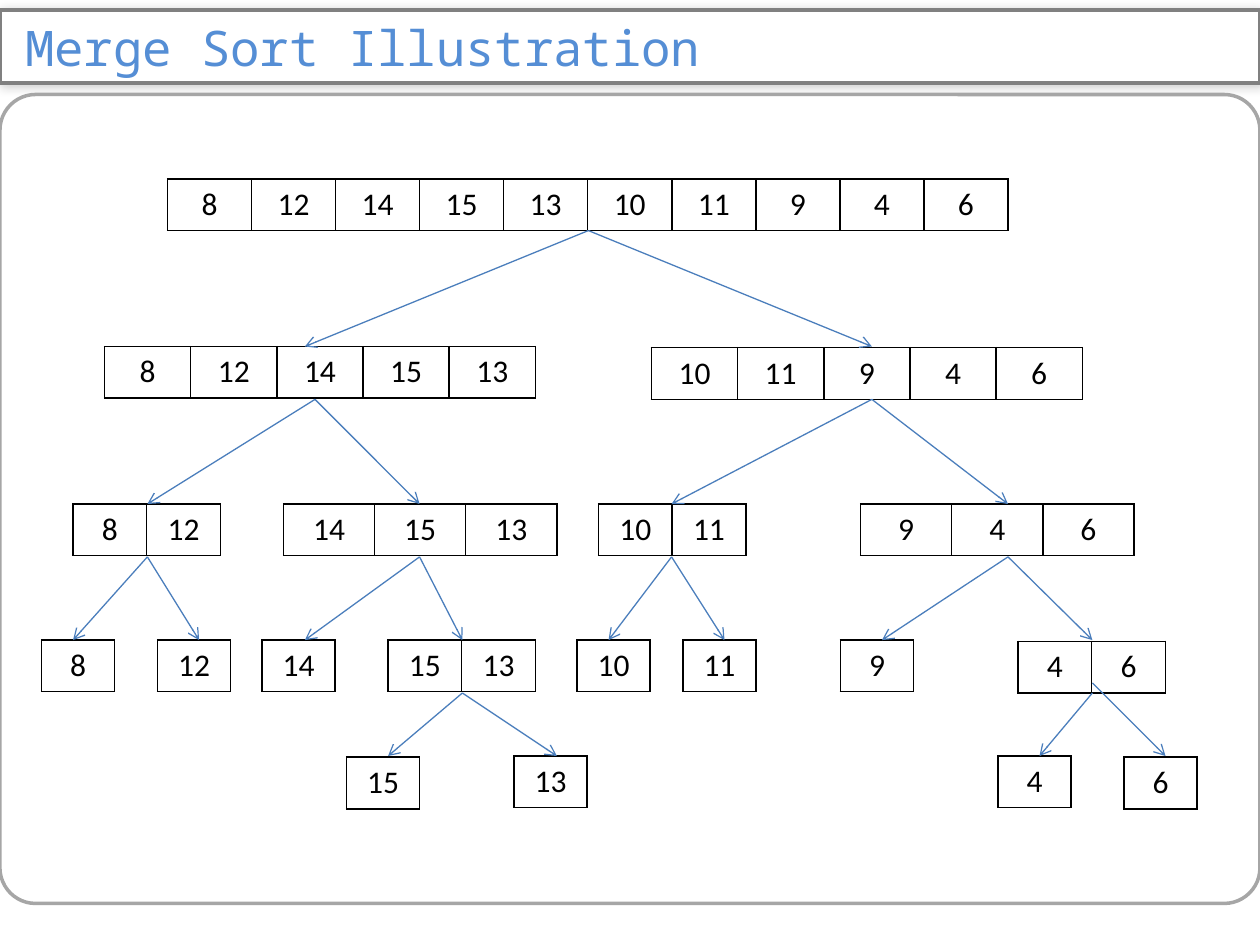
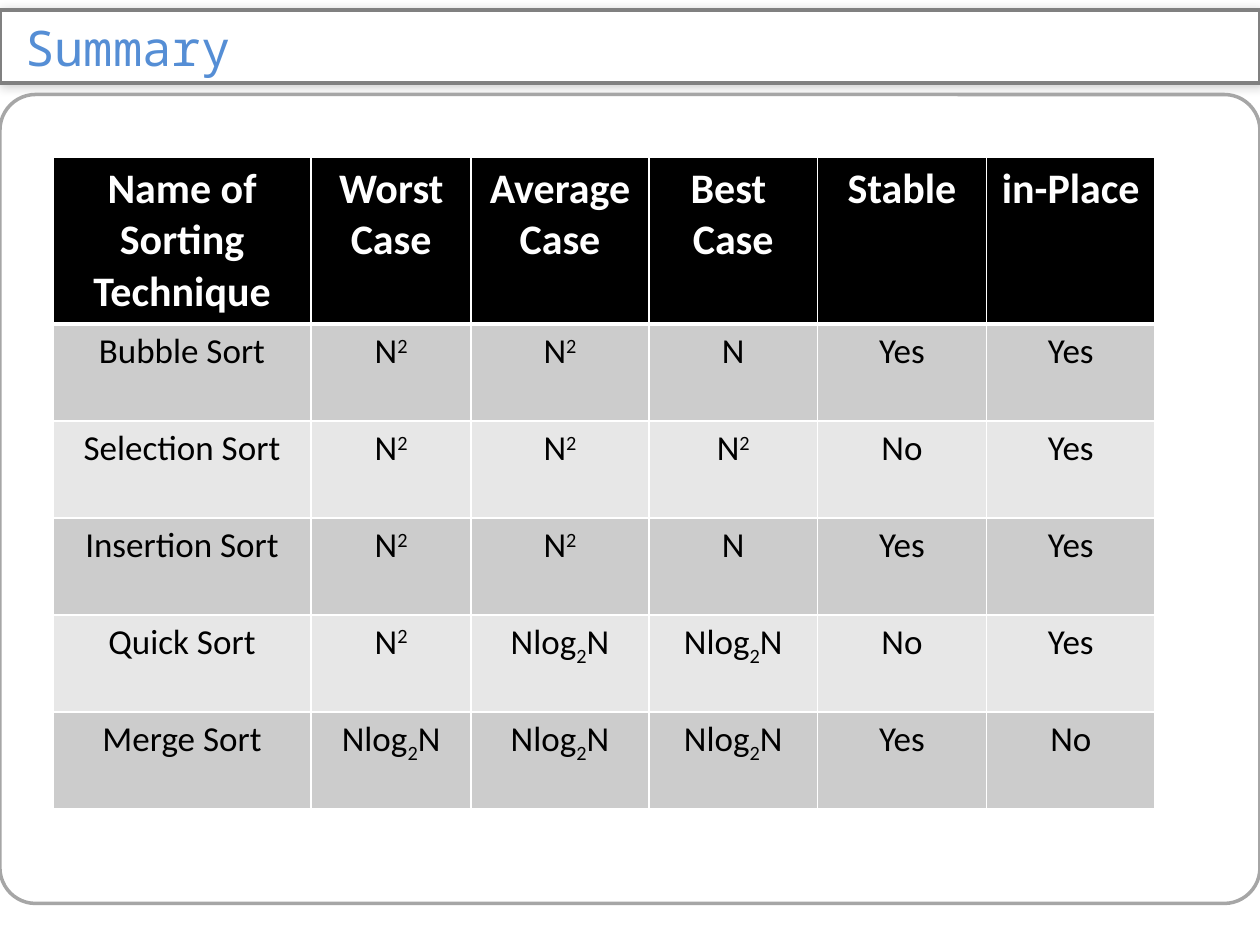
"""Build two slides on merge sort: the splitting tree and a summary of sorts."""
from dataclasses import dataclass
from typing import Any

import lxml.etree
import pptx
import pptx.dml.color
import pptx.enum.shapes
import pptx.enum.text
import pptx.oxml
import pptx.oxml.ns
import pptx.util

Inches = pptx.util.Inches
Pt = pptx.util.Pt
qn = pptx.oxml.ns.qn
Align = pptx.enum.text.PP_ALIGN

HUES = {
    "black": "000000", "white": "FFFFFF", "title": "558ED5", "frame": "A6A6A6",
    "band": "808080", "arrow": "4B7EBC", "dark": "CCCCCC", "light": "E7E7E7",
}
TITLE = {"name": "Noto Sans Mono", "size": Pt(28), "bold": False}
ITEM = {"name": "Calibri", "size": Pt(18), "bold": False}
HEAD = {"name": "Calibri", "size": Pt(24), "bold": True}
BODY = {"name": "Calibri", "size": Pt(20), "bold": False}
BAND = {"left": 0, "top": Inches(0.08), "width": Inches(10), "height": Inches(0.58)}
INSET = {
    "margin_left": Inches(0.2), "margin_right": Inches(0.1),
    "margin_top": 0, "margin_bottom": 0, "word_wrap": True,
    "vertical_anchor": pptx.enum.text.MSO_ANCHOR.MIDDLE,
    "auto_size": pptx.enum.text.MSO_AUTO_SIZE.NONE,
}
PLAIN = {"first_row": False, "horz_banding": False}
SIDES = ("L", "R", "T", "B")
SPANS = {
    "N²": (("N", 0), ("2", 30)),
    "Nlog₂N": (("Nlog", 0), ("2", -25), ("N", 0)),
}


@dataclass
class Strip:
    left: float
    top: float
    width: float
    items: str


@dataclass
class Fork:
    x: float
    top: float
    base: float
    ends: tuple[float, ...]


STRIPS = [
    Strip(1.33, 1.42, 6.67, "8 12 14 15 13 10 11 9 4 6"),
    Strip(0.83, 2.75, 3.42, "8 12 14 15 13"),
    Strip(5.17, 2.76, 3.42, "10 11 9 4 6"),
    Strip(0.58, 4, 1.17, "8 12"),
    Strip(2.25, 4, 2.17, "14 15 13"),
    Strip(4.75, 4, 1.17, "10 11"),
    Strip(6.83, 4, 2.17, "9 4 6"),
    Strip(0.33, 5.08, 0.58, "8"),
    Strip(1.25, 5.08, 0.58, "12"),
    Strip(2.08, 5.08, 0.58, "14"),
    Strip(3.08, 5.08, 1.17, "15 13"),
    Strip(4.58, 5.08, 0.58, "10"),
    Strip(5.42, 5.08, 0.58, "11"),
    Strip(6.67, 5.08, 0.58, "9"),
    Strip(8.08, 5.09, 1.17, "4 6"),
    Strip(2.75, 6.01, 0.58, "15"),
    Strip(4.08, 6, 0.58, "13"),
    Strip(7.92, 6, 0.58, "4"),
    Strip(8.92, 6.01, 0.58, "6"),
]
FORKS = [
    Fork(4.67, 1.83, 2.75, (2.42, 6.92)),
    Fork(2.5, 3.17, 4, (1.17, 3.33)),
    Fork(6.92, 3.17, 4, (5.33, 8)),
    Fork(1.17, 4.42, 5.08, (0.58, 1.58)),
    Fork(3.33, 4.42, 5.08, (2.42, 3.67)),
    Fork(5.33, 4.42, 5.08, (4.83, 5.75)),
    Fork(8, 4.42, 5.08, (7, 8.67)),
    Fork(3.67, 5.5, 6, (3.08, 4.42)),
    Fork(8.67, 5.5, 6, (8.25,)),
    Fork(8.67, 5.42, 6, (9.25,)),
]
WIDTHS = (2.05, 1.27, 1.41, 1.34, 1.34, 1.34)
SORTS = [
    ("Name of Sorting Technique", "Worst Case", "Average Case", "Best \nCase", "Stable", "in-Place"),
    ("Bubble Sort", "N²", "N²", "N", "Yes", "Yes"),
    ("Selection Sort", "N²", "N²", "N²", "No", "Yes"),
    ("Insertion Sort", "N²", "N²", "N", "Yes", "Yes"),
    ("Quick Sort", "N²", "Nlog₂N", "Nlog₂N", "No", "Yes"),
    ("Merge Sort", "Nlog₂N", "Nlog₂N", "Nlog₂N", "Yes", "No"),
]


def tint(hue: str) -> Any:
    return pptx.dml.color.RGBColor.from_string(HUES[hue])


def apply(target: Any, values: dict) -> None:
    for name, value in values.items():
        setattr(target, name, value)


def ink(font: Any, style: dict, hue: str) -> None:
    apply(font, style)
    font.color.rgb = tint(hue)


def edge(shape: Any, hue: str, width: float) -> None:
    shape.line.color.rgb = tint(hue)
    shape.line.width = Pt(width)


def child(node: Any, tag: str, **values: str) -> Any:
    return lxml.etree.SubElement(node, qn(tag), values)


def shade(props: Any) -> None:
    glow = child(child(props, "a:effectLst"), "a:outerShdw", blurRad=str(Pt(6)),
                 dist=str(Pt(1)), dir=str(45 * 60000), rotWithShape="0")
    child(child(glow, "a:srgbClr", val=HUES["black"]), "a:alpha", val="20000")


def begin(deck: Any, text: str) -> Any:
    slide = deck.slides.add_slide(deck.slide_layouts[5])
    frame = slide.shapes.add_shape(
        pptx.enum.shapes.MSO_SHAPE.ROUNDED_RECTANGLE,
        0, Inches(0.75), Inches(10), Inches(6.42))
    frame.adjustments[0] = 0.044
    frame.shadow.inherit = False
    frame.fill.background()
    edge(frame, "frame", 2)

    title = slide.shapes.title
    apply(title, BAND)
    props = title._element.spPr
    shape = child(props, "a:prstGeom", prst="roundRect")
    child(child(shape, "a:avLst"), "a:gd", name="adj", fmla="val 40900")
    title.fill.solid()
    title.fill.fore_color.rgb = tint("white")
    edge(title, "band", 2.5)
    shade(props)
    apply(title.text_frame, INSET)
    title.text_frame.text = text
    para = title.text_frame.paragraphs[0]
    para.alignment = Align.LEFT
    ink(para.runs[0].font, TITLE, "title")
    return slide


def rule(cell: Any, hue: str, base: float) -> None:
    props = cell._tc.get_or_add_tcPr()
    for side in SIDES:
        width = base if side == "B" else 1
        line = child(props, f"a:ln{side}", w=str(Pt(width)))
        child(child(line, "a:solidFill"), "a:srgbClr", val=HUES[hue])


def write(cell: Any, text: str, style: dict, hue: str) -> None:
    for index, part in enumerate(text.split("\n")):
        frame = cell.text_frame
        para = frame.add_paragraph() if index else frame.paragraphs[0]
        para.alignment = Align.CENTER
        for word, shift in SPANS.get(part, ((part, 0),)):
            run = para.add_run()
            run.text = word
            ink(run.font, style, hue)
            if shift:
                run.font._element.set("baseline", str(shift * 1000))


def chain(slide: Any, strip: Strip) -> None:
    items = strip.items.split()
    table = slide.shapes.add_table(
        1, len(items), Inches(strip.left), Inches(strip.top),
        Inches(strip.width), Inches(0.41)).table
    apply(table, PLAIN)
    for cell, item in zip(table.iter_cells(), items):
        rule(cell, "black", 1)
        cell.fill.background()
        write(cell, item, ITEM, "black")


def split(slide: Any, fork: Fork) -> None:
    for end in fork.ends:
        arrow = slide.shapes.add_connector(
            pptx.enum.shapes.MSO_CONNECTOR.STRAIGHT,
            Inches(fork.x), Inches(fork.top), Inches(end), Inches(fork.base))
        edge(arrow, "arrow", 0.75)
        props = arrow._element.spPr
        child(props.find(qn("a:ln")), "a:tailEnd", type="arrow")
        child(props, "a:effectLst")


def chart(slide: Any) -> None:
    frame = slide.shapes.add_table(
        len(SORTS), len(WIDTHS), Inches(0.42), Inches(1.25), Inches(8.75), Inches(5.13))
    table = frame.table
    apply(table, PLAIN)
    for column, width in zip(table.columns, WIDTHS):
        column.width = Inches(width)
    for index, (row, texts) in enumerate(zip(table.rows, SORTS)):
        top = index == 0
        row.height = Inches(1 if top else 0.77)
        back = "black" if top else ("light", "dark")[index % 2]
        for cell, text in zip(row.cells, texts):
            rule(cell, "white", 3 if top else 1)
            cell.fill.solid()
            cell.fill.fore_color.rgb = tint(back)
            write(cell, text, HEAD if top else BODY, "white" if top else "black")
    frame.height = Inches(5.13)


def main() -> None:
    deck = pptx.Presentation()
    apply(deck, {"slide_width": Inches(10), "slide_height": Inches(7.5)})
    slide = begin(deck, "Merge Sort Illustration")
    for strip in STRIPS:
        chain(slide, strip)
    for fork in FORKS:
        split(slide, fork)
    chart(begin(deck, "Summary"))
    deck.save("out.pptx")


if __name__ == "__main__":
    main()
